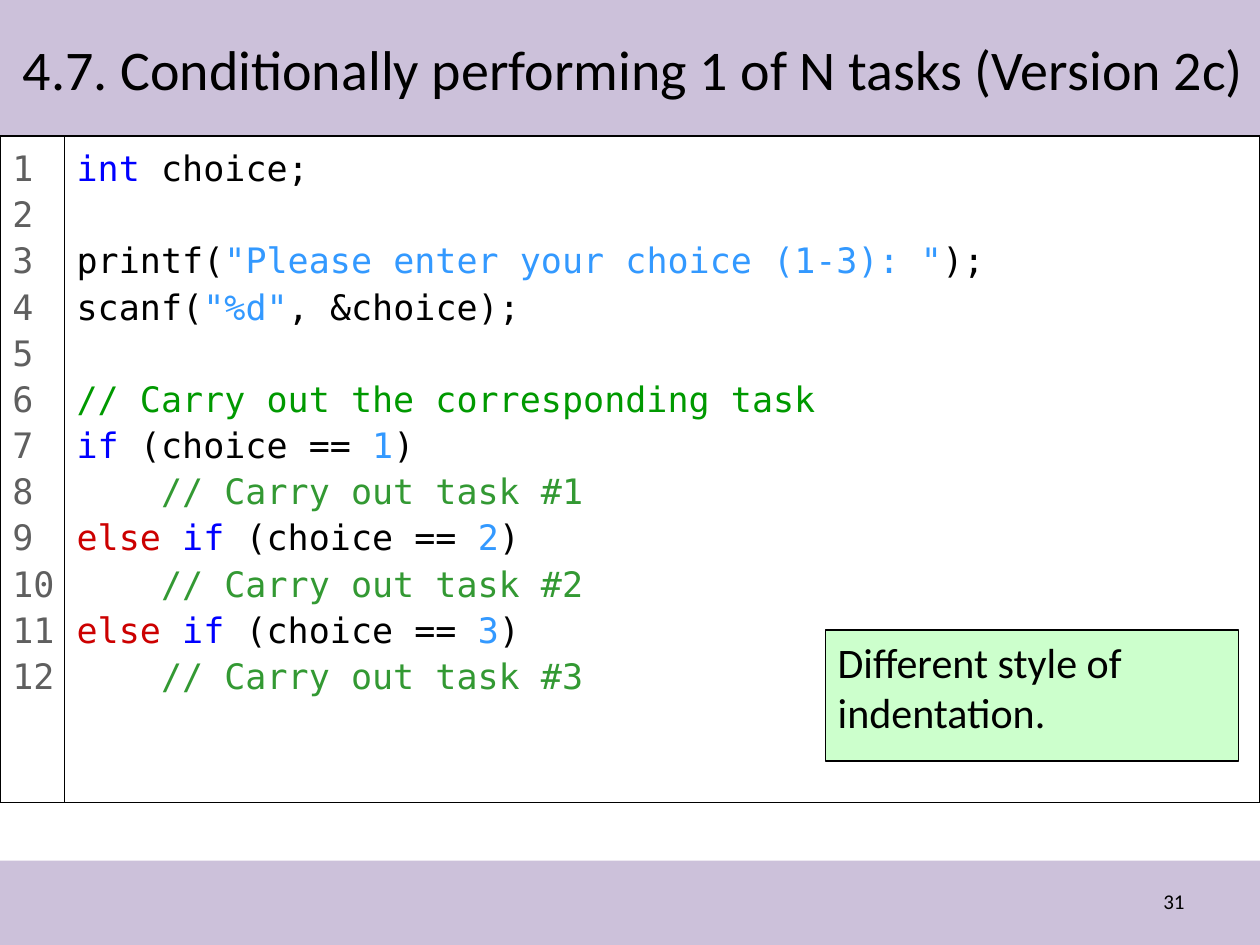
from pptx import Presentation
from pptx import util as u
from pptx.dml.color import RGBColor
from pptx.enum import shapes, text
from pptx.oxml.ns import qn
from pptx.text.text import Font

W, H = 10, 7.5
TOP, CODE_H, GUTTER = 1.08, 5.29, 0.51
BODY, MONO = "Calibri", "DejaVu Sans Mono"
BLACK, WHITE, LILAC, MINT, GREY = "000000", "FFFFFF", "CCC1DA", "CCFFCC", "5F5F5F"
TYPE, ELSE, VALUE, NOTE, TASK = "0000FF", "CC0000", "3399FF", "009900", "339933"


def rgb(value):
    """Turn a hex string into a colour."""
    return RGBColor.from_string(value)


def style(font, size, name, color=BLACK):
    """Set size, typeface and colour of a font."""
    font.size, font.name = u.Pt(size), name
    font.color.rgb = rgb(color)


def add_box(s, x, y, w, h, fill, line=None):
    """Add a flat rectangle with top-left text."""
    sp = s.shapes.add_shape(shapes.MSO_SHAPE.RECTANGLE, *map(u.Inches, (x, y, w, h)))
    sp.shadow.inherit = False
    sp.fill.solid()
    sp.fill.fore_color.rgb = rgb(fill)
    if line:
        sp.line.color.rgb = rgb(line)
        sp.line.width = u.Pt(0.75)
    else:
        sp.line.fill.background()
    sp.text_frame.vertical_anchor = text.MSO_ANCHOR.TOP
    sp.text_frame.word_wrap = True
    return sp


def write_lines(tf, lines, size, name, spacing=None):
    """Write lines, each a list of (text, colour) runs."""
    for i, line in enumerate(lines):
        p = tf.add_paragraph() if i else tf.paragraphs[0]
        p.alignment = text.PP_ALIGN.LEFT
        if spacing:
            p.line_spacing = spacing
        for words, color in line:
            r = p.add_run()
            r.text = words
            style(r.font, size, name, color)
        if not line:
            style(Font(p._p.get_or_add_endParaRPr()), size, name)


def branch(number):
    """Return the condition line and the task line of one branch."""
    start = [("else ", ELSE)] if number > 1 else []
    test = [("if", TYPE), (" (choice == ", BLACK), (str(number), VALUE), (")", BLACK)]
    return [start + test, [(f"    // Carry out task #{number}", TASK)]]


def code_lines():
    """Return the coloured lines of the program."""
    lines = [
        [("int", TYPE), (" choice;", BLACK)],
        [],
        [("printf(", BLACK), ('"Please enter your choice (1-3): "', VALUE), (");", BLACK)],
        [("scanf(", BLACK), ('"%d"', VALUE), (", &choice);", BLACK)],
        [],
        [("// Carry out the corresponding task", NOTE)],
    ]
    for number in (1, 2, 3):
        lines += branch(number)
    return lines


def add_code(s, lines):
    """Add the code panel and its numbered gutter."""
    code = add_box(s, GUTTER, TOP, W - GUTTER, CODE_H, WHITE, BLACK)
    write_lines(code.text_frame, lines, 20, MONO, 1.1)
    gutter = add_box(s, 0, TOP, GUTTER, CODE_H, WHITE, BLACK)
    gutter.text_frame.margin_right = 0
    numbers = [[(str(n), GREY)] for n in range(1, len(lines) + 1)]
    write_lines(gutter.text_frame, numbers, 20, MONO, 1.1)


def add_page_number(s, number):
    """Add a right-aligned slide number field."""
    sp = s.shapes.add_textbox(*map(u.Inches, (7.17, 6.95, 2.33, 0.4)))
    tf = sp.text_frame
    tf.word_wrap = True
    tf.vertical_anchor = text.MSO_ANCHOR.MIDDLE
    write_lines(tf, [[(number, BLACK)]], 12, BODY)
    p = tf.paragraphs[0]
    p.alignment = text.PP_ALIGN.RIGHT
    field = p.runs[0]._r
    field.tag = qn("a:fld")
    field.set("id", "{B6F15528-21DE-4FAA-801E-634DDDAF4B2B}")
    field.set("type", "slidenum")


def set_title(s, words):
    """Place the title above the top band and fill it in."""
    sp = s.shapes.title
    s.shapes._spTree.append(sp._element)
    sp.left, sp.top, sp.width, sp.height = map(u.Inches, (0.08, 0.08, 9.96, 0.92))
    sp.text_frame.vertical_anchor = text.MSO_ANCHOR.MIDDLE
    sp.text_frame.auto_size = text.MSO_AUTO_SIZE.NONE
    write_lines(sp.text_frame, [[(words, BLACK)]], 32, BODY)


def main():
    """Build and save the slide."""
    prs = Presentation()
    prs.slide_width, prs.slide_height = u.Inches(W), u.Inches(H)
    prs.element.set("firstSlideNum", "31")
    s = prs.slides.add_slide(prs.slide_layouts[5])
    add_box(s, 0, 0, W, TOP, LILAC)
    add_box(s, 0, 6.83, W, H - 6.83, LILAC)
    add_page_number(s, "31")
    add_code(s, code_lines())
    note = add_box(s, 6.55, 5, 3.28, 1.04, MINT, BLACK)
    write_lines(note.text_frame, [[("Different style of indentation.", BLACK)]], 24, BODY)
    set_title(s, "4.7. Conditionally performing 1 of N tasks (Version 2c)")
    prs.save("out.pptx")


if __name__ == "__main__":
    main()
